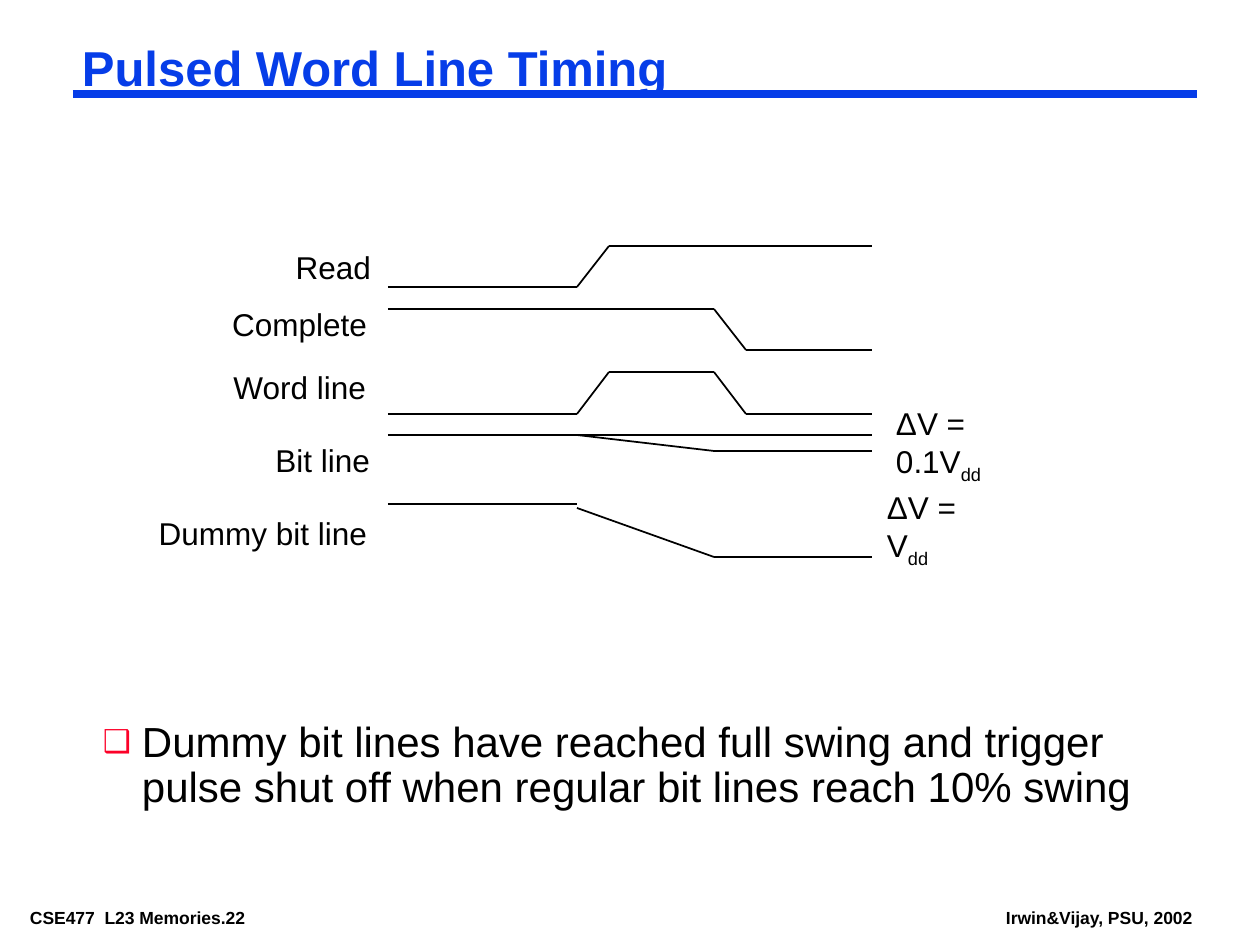
"""Build the slide on pulsed word line timing."""
import itertools

import lxml.etree
import pptx
import pptx.dml.color
import pptx.enum.shapes
import pptx.enum.text
import pptx.oxml.ns
import pptx.util

BLUE, RED, BLACK = "063DE8", "FC0128", "000000"
ALIGN = pptx.enum.text.PP_ALIGN
ANCHOR = pptx.enum.text.MSO_ANCHOR


def px(count):
    return pptx.util.Emu(round(count * 914400 / 126))


def paint(code):
    return pptx.dml.color.RGBColor.from_string(code)


def add(parent, tag, **attrs):
    node = lxml.etree.SubElement(parent, pptx.oxml.ns.qn(tag))
    for key, value in attrs.items():
        node.set(key, value)
    return node


def write(para, words, size=18, color=BLACK, bold=False, base=0):
    run = para.add_run()
    run.text = words
    font = run.font
    font.name, font.size, font.bold = "Arial", pptx.util.Pt(size), bold
    font.color.rgb = paint(color)
    if base:
        run._r.get_or_add_rPr().set("baseline", str(base * 1000))


class Sheet:
    def __init__(self, deck):
        self.slide = deck.slides.add_slide(deck.slide_layouts[1])
        self.shapes = self.slide.shapes

    def frame(self, shape, anchor, pad, wrap=True):
        frame = shape.text_frame
        frame.auto_size = pptx.enum.text.MSO_AUTO_SIZE.NONE
        frame.word_wrap, frame.vertical_anchor = wrap, anchor
        frame.margin_left = frame.margin_right = px(pad[0])
        frame.margin_top = frame.margin_bottom = px(pad[1])
        return frame.paragraphs[0]

    def holder(self, index, box, anchor, space):
        shape = self.slide.placeholders[index]
        shape.left, shape.top, shape.width, shape.height = map(px, box)
        para = self.frame(shape, anchor, (9, 4))
        para.alignment, para.line_spacing = ALIGN.LEFT, space
        para.space_before = pptx.util.Pt(0)
        return para

    def title(self, words, box):
        para = self.holder(0, box, ANCHOR.TOP, 0.87)
        write(para, words, size=28, color=BLUE, bold=True)

    def point(self, words, box):
        para = self.holder(1, box, ANCHOR.BOTTOM, 0.9)
        props = para._p.get_or_add_pPr()
        indent = px(39)
        props.set("marL", str(indent))
        props.set("indent", str(-indent))
        add(add(props, "a:buClr"), "a:srgbClr", val=RED)
        add(props, "a:buSzPct", val="75000")
        add(props, "a:buFont", typeface="Arial")
        add(props, "a:buChar", char="❑")
        write(para, words, size=24)

    def text(self, words, box, sub="", align=ALIGN.LEFT, anchor=ANCHOR.MIDDLE,
             pad=(13, 6), wrap=False, **style):
        shape = self.shapes.add_textbox(*map(px, box))
        para = self.frame(shape, anchor, pad, wrap)
        para.alignment = align
        write(para, words, **style)
        if sub:
            write(para, sub, base=-25, **style)

    def wave(self, *points, color=BLACK, width=1):
        for start, end in itertools.pairwise(points):
            line = self.shapes.add_connector(
                pptx.enum.shapes.MSO_CONNECTOR.STRAIGHT,
                *map(px, start + end))
            line.line.color.rgb = paint(color)
            line.line.width = pptx.util.Pt(width)
            add(line._element.spPr, "a:effectLst")


def main():
    deck = pptx.Presentation()
    deck.slide_width, deck.slide_height = px(1260), px(945)
    sheet = Sheet(deck)

    for words, left, width in (("CSE477  L23 Memories.22", 21, 297),
                               ("Irwin&Vijay, PSU, 2002", 997, 205)):
        sheet.text(words, (left, 903, width, 28), anchor=ANCHOR.TOP,
                   pad=(9, 4), size=10, bold=True)
    sheet.wave((73, 94), (1197, 94), color=BLUE, width=4.5)
    sheet.title("Pulsed Word Line Timing", (73, 42, 1124, 58))
    sheet.point("Dummy bit lines have reached full swing and trigger "
                "pulse shut off when regular bit lines reach 10% swing",
                (94, 294, 1072, 522))

    start, rise, high, fall, low, end = 388, 577, 609, 714, 746, 872
    sheet.wave((start, 287), (rise, 287), (high, 246), (end, 246))
    sheet.wave((start, 309), (fall, 309), (low, 350), (end, 350))
    sheet.wave((start, 414), (rise, 414), (high, 372), (fall, 372),
               (low, 414), (end, 414))
    sheet.wave((start, 435), (end, 435))
    sheet.wave((rise, 435), (fall, 451), (end, 451))
    sheet.wave((start, 504), (rise, 504))
    sheet.wave((rise, 508), (fall, 557), (end, 557))

    for words, left, top, width in (("Read", 283, 242, 101),
                                    ("Complete", 220, 299, 160),
                                    ("Word line", 220, 362, 159),
                                    ("Bit line", 263, 435, 120),
                                    ("Dummy bit line", 147, 508, 233)):
        sheet.text(words, (left, top, width, 50), align=ALIGN.RIGHT)
    for words, left, top, width in (("ΔV = V", 874, 501, 136),
                                    ("ΔV = 0.1V", 883, 417, 180)):
        sheet.text(words, (left, top, width, 55), sub="dd", wrap=True)

    deck.save("out.pptx")


if __name__ == "__main__":
    main()
